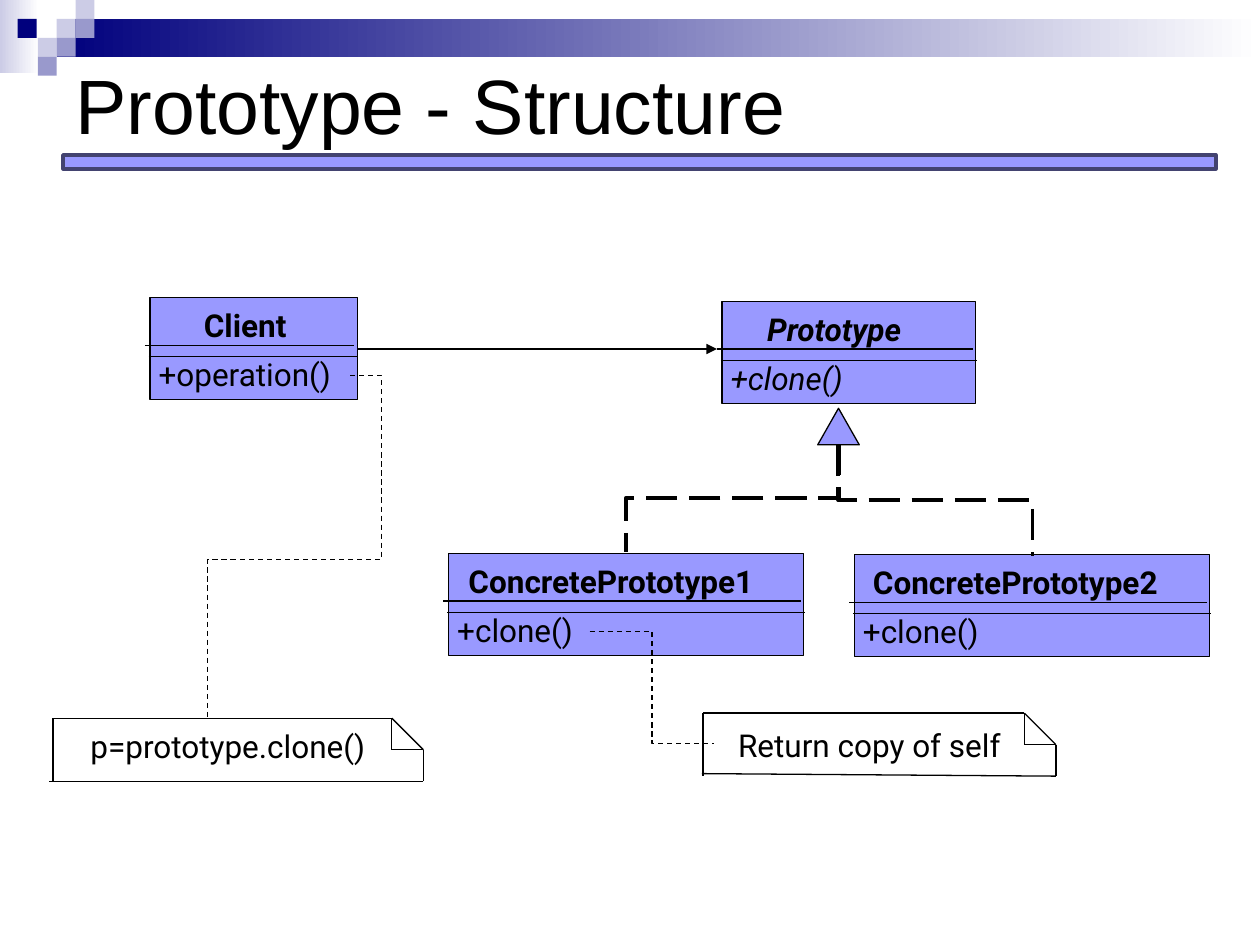
from lxml.etree import SubElement
from pptx import Presentation
from pptx.dml.color import RGBColor
from pptx.enum.dml import MSO_LINE as DASH
from pptx.enum.shapes import MSO_CONNECTOR as LINK, MSO_SHAPE as SHAPE
from pptx.enum.text import MSO_ANCHOR, MSO_AUTO_SIZE
from pptx.oxml.ns import qn
from pptx.util import Inches, Pt

BLACK = RGBColor(0x00, 0x00, 0x00)
WHITE = RGBColor(0xFF, 0xFF, 0xFF)
NAVY = RGBColor(0x00, 0x00, 0x7D)
PALE = RGBColor(0xCC, 0xCC, 0xE6)
MID = RGBColor(0x99, 0x99, 0xCC)
PERIWINKLE = RGBColor(0x99, 0x99, 0xFF)
SLATE = RGBColor(0x43, 0x43, 0x70)

prs = Presentation()
prs.slide_width, prs.slide_height = Inches(10), Inches(7.5)
slide = prs.slides.add_slide(prs.slide_layouts[6])
shapes = slide.shapes


def link(x1, y1, x2, y2, kind=LINK.STRAIGHT, weight=0.75, dash=None):
    connector = shapes.add_connector(kind, Inches(x1), Inches(y1), Inches(x2), Inches(y2))
    connector.line.color.rgb = BLACK
    connector.line.width = Pt(weight)
    if dash:
        connector.line.dash_style = dash
    SubElement(connector._element.spPr, qn("a:effectLst"))
    return connector


def label(text, x, y, w, h=0.4, size=18, font="Roboto", bold=False, italic=False):
    box = shapes.add_textbox(Inches(x), Inches(y), Inches(w), Inches(h))
    frame = box.text_frame
    frame.word_wrap = False
    frame.auto_size = MSO_AUTO_SIZE.SHAPE_TO_FIT_TEXT
    frame.text = text
    style = frame.paragraphs[0].runs[0].font
    style.name, style.size = font, Pt(size)
    style.bold, style.italic = bold, italic
    style.color.rgb = BLACK
    return frame


for x, y, w, h, start in [(0, 0, 0.31, 0.58, PALE), (0.45, 0.15, 9.55, 0.3, NAVY)]:
    band = shapes.add_shape(SHAPE.RECTANGLE, Inches(x), Inches(y), Inches(w), Inches(h))
    band.shadow.inherit = False
    band.line.fill.background()
    band.fill.gradient()
    band.fill.gradient_angle = 0
    for stop, color, position in zip(band.fill.gradient_stops, (start, WHITE), (0, 1)):
        stop.color.rgb = color
        stop.position = position

mosaic = [(0.45, 0.15, PALE), (0.6, 0, PALE), (0.6, 0.15, MID), (0.3, 0.3, PALE),
          (0.14, 0.15, NAVY), (0.45, 0.3, MID), (0.3, 0.45, MID)]
for x, y, color in mosaic:
    tile = shapes.add_shape(SHAPE.RECTANGLE, Inches(x), Inches(y), Inches(0.15), Inches(0.15))
    tile.shadow.inherit = False
    tile.fill.solid()
    tile.fill.fore_color.rgb = color
    tile.line.fill.background()

outlined = [
    (SHAPE.RECTANGLE, 0.5, 1.23, 9.15, 0.11, SLATE, 2),
    (SHAPE.RECTANGLE, 1.19, 2.36, 1.65, 0.81, BLACK, 0.75),
    (SHAPE.RECTANGLE, 5.73, 2.39, 2.01, 0.81, BLACK, 0.75),
    (SHAPE.RECTANGLE, 3.56, 4.39, 2.82, 0.81, BLACK, 0.75),
    (SHAPE.RECTANGLE, 6.78, 4.4, 2.82, 0.81, BLACK, 0.75),
    (SHAPE.ISOSCELES_TRIANGLE, 6.49, 3.24, 0.33, 0.29, BLACK, 0.75),
]
for kind, x, y, w, h, edge, weight in outlined:
    figure = shapes.add_shape(kind, Inches(x), Inches(y), Inches(w), Inches(h))
    figure.shadow.inherit = False
    figure.fill.solid()
    figure.fill.fore_color.rgb = PERIWINKLE
    figure.line.color.rgb = edge
    figure.line.width = Pt(weight)

title = label("Prototype - Structure", 0.5, 0.07, 9, 1.5, size=44, font="Arial")
title.word_wrap = True
title.auto_size = MSO_AUTO_SIZE.NONE
title.vertical_anchor = MSO_ANCHOR.MIDDLE

classes = [
    ("Client", 1.52, 0.93, "+operation()", 1.62, 1.19, 2.36, 1.66, False),
    ("Prototype", 5.99, 1.44, "+clone()", 1.15, 5.73, 2.39, 2.03, True),
    ("ConcretePrototype1", 3.62, 2.73, "+clone()", 1.15, 3.56, 4.39, 2.84, False),
    ("ConcretePrototype2", 6.83, 2.73, "+clone()", 1.15, 6.78, 4.4, 2.84, False),
]
for name, name_x, name_w, method, method_w, x, y, rule_w, abstract in classes:
    label(name, name_x, y + 0.02, name_w, bold=True, italic=abstract)
    label(method, x - 0.03, y + 0.41, method_w, italic=abstract)
    link(x - 0.04, y + 0.38, x - 0.04 + rule_w, y + 0.38)
    link(x - 0.01, y + 0.47, x - 0.01 + rule_w, y + 0.47)

notes = [
    ("p=prototype.clone()", 0.62, 5.72, 2.43, 0.42, 3.36, 5.7, 6.2, 0.39, 6.2),
    ("Return copy of self", 5.76, 5.71, 2.3, 5.58, 8.38, 5.66, 6.16, 5.57, 6.14),
]
for text, text_x, text_y, text_w, left, right, top, bottom, base_x, base_y in notes:
    label(text, text_x, text_y, text_w)
    fold_x, fold_y = right - 0.25, top + 0.25
    link(left, top, fold_x, top)
    link(base_x, base_y, right, bottom)
    link(fold_x, top, right, fold_y)
    link(right, bottom, right, fold_y)
    link(fold_x, top, fold_x, fold_y)
    link(fold_x, fold_y, right, fold_y)
    link(left, top, left, bottom)

for x1, y1, x2, y2, degrees in [(5.38, 3.11, 6.24, 4.8, 90), (7.87, 3.2, 6.98, 4.74, 270)]:
    realization = link(x1, y1, x2, y2, LINK.ELBOW, 2.25, DASH.LONG_DASH)
    realization._element.spPr.find(qn("a:xfrm")).set("rot", str(degrees * 60000))

association = link(2.84, 2.77, 5.69, 2.77)
SubElement(association.line._get_or_add_ln(), qn("a:tailEnd"), type="triangle")

link(4.68, 5.01, 5.67, 5.9, LINK.ELBOW, dash=DASH.DASH)

client_note = link(2.78, 2.98, 1.65, 5.7, LINK.ELBOW, dash=DASH.DASH)
route = client_note._element.spPr.find(qn("a:prstGeom"))
route.set("prst", "bentConnector4")
bends = route.find(qn("a:avLst"))
for bend, value in [("adj1", -22100), ("adj2", 53600)]:
    SubElement(bends, qn("a:gd"), name=bend, fmla=f"val {value}")

prs.save("out.pptx")
